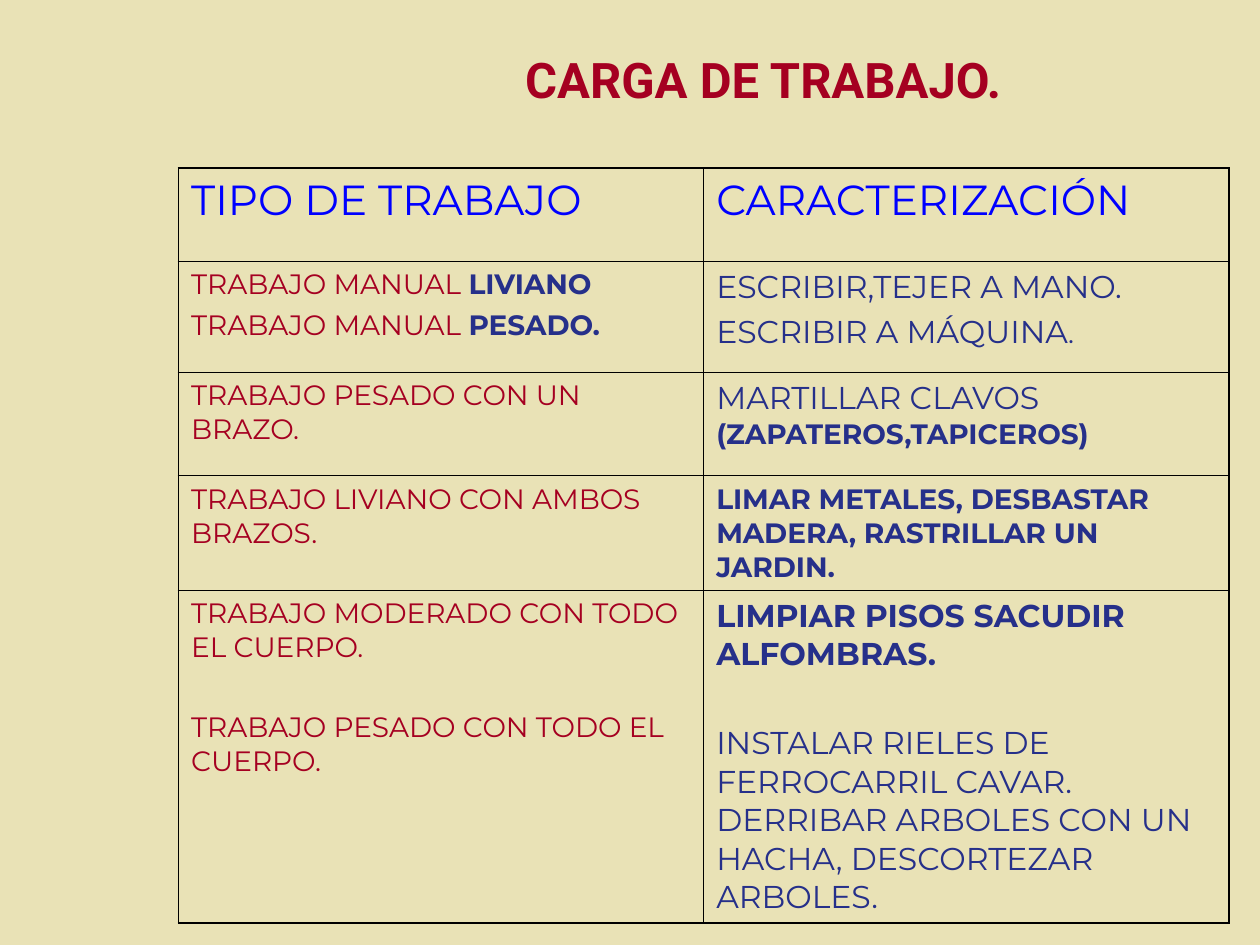
from lxml.etree import SubElement
from pptx import Presentation
from pptx.dml.color import RGBColor
from pptx.enum.text import MSO_ANCHOR as Anchor, MSO_AUTO_SIZE as AutoSize, PP_ALIGN as Align
from pptx.oxml.ns import qn
from pptx.util import Cm, Pt

SAND = RGBColor(0xE9, 0xE2, 0xB6)
CRIMSON = RGBColor(0xA5, 0x00, 0x21)
BLUE = RGBColor(0x00, 0x00, 0xFF)
NAVY = RGBColor(0x26, 0x30, 0x8A)
BLACK = RGBColor(0x00, 0x00, 0x00)

OUTER_LINE, INNER_LINE = Pt(1.08), Pt(0.45)


class SlideBuilder:
    """Holds the style and the current slide."""
    title_font = "Roboto"
    body_font = "Montserrat"

    def __init__(self, presentation):
        self.slide = presentation.slides.add_slide(presentation.slide_layouts[5])

    def background(self, color):
        fill = self.slide.background.fill
        fill.solid()
        fill.fore_color.rgb = color

    def run(self, paragraph, text, size, color, bold=False, font=None):
        run = paragraph.add_run()
        run.text = text
        run.font.name = font or self.body_font
        run.font.size = Pt(size)
        run.font.bold = bold
        run.font.color.rgb = color

    def title(self, text, left, top, width, height, margin_left):
        shape = self.slide.shapes.title
        shape.left, shape.top, shape.width, shape.height = left, top, width, height
        frame = shape.text_frame
        frame.auto_size = AutoSize.NONE
        frame.vertical_anchor = Anchor.MIDDLE
        frame.margin_left = margin_left
        paragraph = frame.paragraphs[0]
        paragraph.alignment = Align.CENTER
        self.run(paragraph, text, 28, CRIMSON, True, self.title_font)

    def border(self, cell, side, width):
        line = SubElement(cell._tc.get_or_add_tcPr(), qn(f"a:ln{side}"), w=str(width))
        fill = SubElement(line, qn("a:solidFill"))
        SubElement(fill, qn("a:srgbClr"), val=str(BLACK))

    def cell(self, cell, paragraphs, outer_sides):
        for side in "LRTB":
            self.border(cell, side, OUTER_LINE if side in outer_sides else INNER_LINE)
        cell.fill.background()
        frame = cell.text_frame
        for index, (space_before, runs) in enumerate(paragraphs):
            paragraph = frame.add_paragraph() if index else frame.paragraphs[0]
            paragraph.space_before = Pt(space_before)
            for run in runs:
                self.run(paragraph, *run)

    def table(self, rows, row_heights, left, top, width):
        row_count, column_count = len(rows), len(rows[0])
        table = self.slide.shapes.add_table(
            row_count, column_count, left, top, width, sum(row_heights)).table
        table.first_row = table.horz_banding = False
        for row_index, row in enumerate(rows):
            table.rows[row_index].height = row_heights[row_index]
            for column_index, paragraphs in enumerate(row):
                edges = {"L": column_index == 0, "R": column_index == column_count - 1,
                         "T": row_index == 0, "B": row_index == row_count - 1}
                outer_sides = [side for side, is_outer in edges.items() if is_outer]
                self.cell(table.cell(row_index, column_index), paragraphs, outer_sides)


# Table content: each cell is a list of (space before, runs)
ROWS = [
    [[(6, [("TIPO DE TRABAJO", 24, BLUE)])],
     [(6, [("CARACTERIZACIÓN", 24, BLUE)])]],
    [[(4, [("TRABAJO MANUAL ", 16, CRIMSON), ("LIVIANO", 16, NAVY, True)]),
      (4, [("TRABAJO MANUAL ", 16, CRIMSON), ("PESADO.", 16, NAVY, True)])],
     [(4.5, [("ESCRIBIR,TEJER A MANO.", 18, NAVY)]),
      (4, [("ESCRIBIR A MÁQUINA", 18, NAVY), (".", 16, NAVY)])]],
    [[(4, [("TRABAJO PESADO CON UN BRAZO.", 16, CRIMSON)])],
     [(4, [("MARTILLAR CLAVOS", 18, NAVY),
           (" (ZAPATEROS,TAPICEROS)", 16, NAVY, True)])]],
    [[(4, [("TRABAJO LIVIANO CON AMBOS BRAZOS.", 16, CRIMSON)])],
     [(4, [("LIMAR METALES, DESBASTAR MADERA, RASTRILLAR UN JARDIN.", 16, NAVY, True)])]],
    [[(4, [("TRABAJO MODERADO CON TODO EL CUERPO.", 16, CRIMSON)]),
      (26, [("TRABAJO PESADO CON TODO EL CUERPO.", 16, CRIMSON)])],
     [(4.5, [("LIMPIAR PISOS SACUDIR ALFOMBRAS.", 18, NAVY, True)]),
      (29, [("INSTALAR RIELES DE FERROCARRIL CAVAR.", 18, NAVY), (" ", 16, NAVY),
            ("DERRIBAR ARBOLES CON UN HACHA, DESCORTEZAR ARBOLES.", 18, NAVY)])]],
]
ROW_HEIGHTS = [Cm(1.88), Cm(2.24), Cm(2.08), Cm(2.29), Cm(6.65)]


def main():
    presentation = Presentation()
    presentation.slide_width, presentation.slide_height = Cm(25.4), Cm(19.05)

    builder = SlideBuilder(presentation)
    builder.background(SAND)
    # Heading, pushed right of centre by its left margin
    builder.title("CARGA DE TRABAJO.", Cm(3.81), Cm(0.43), Cm(20.96), Cm(2.34), Cm(2.44))
    # Types of work and their description
    builder.table(ROWS, ROW_HEIGHTS, Cm(3.6), Cm(3.39), Cm(21.17))

    presentation.save("out.pptx")


if __name__ == "__main__":
    main()
